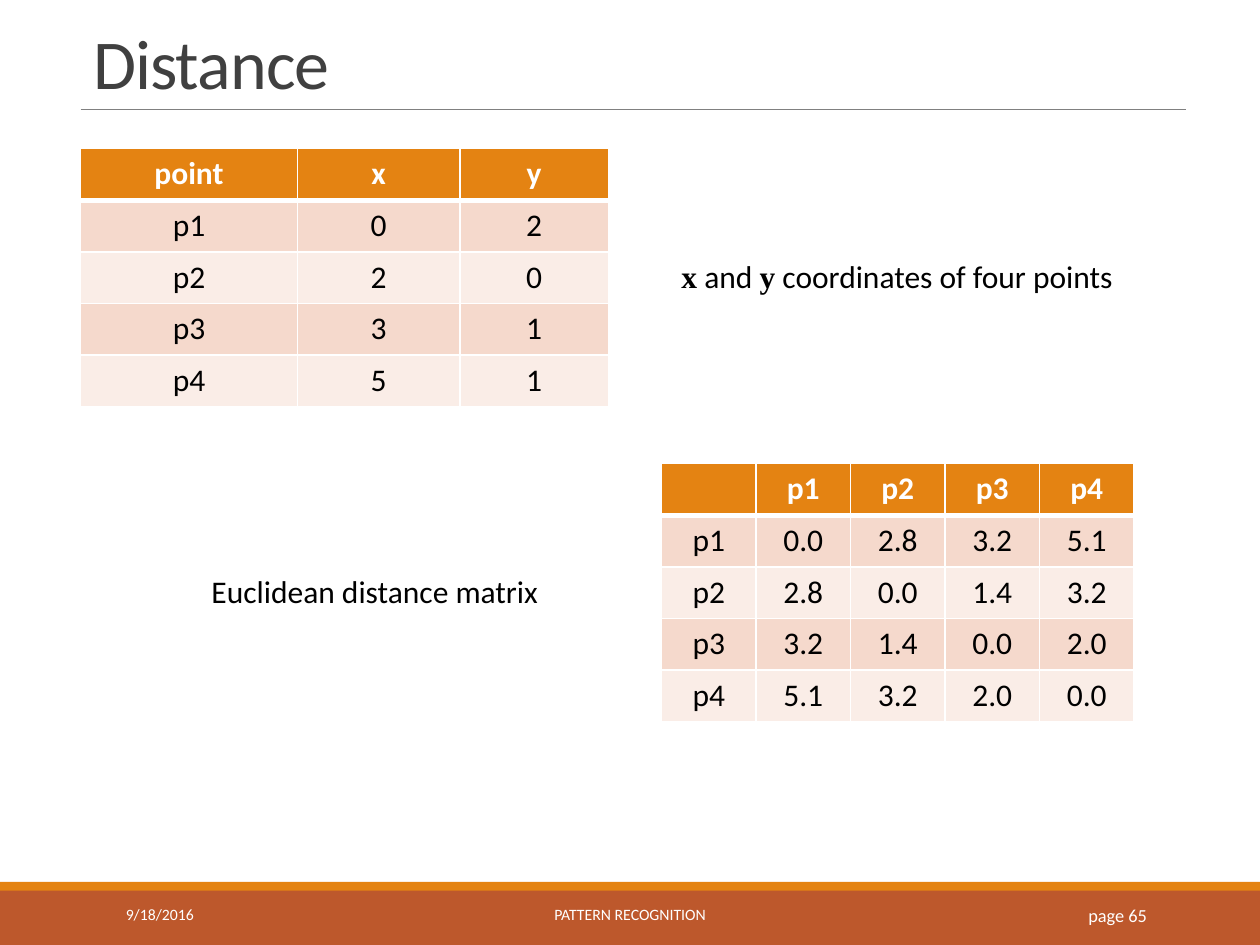
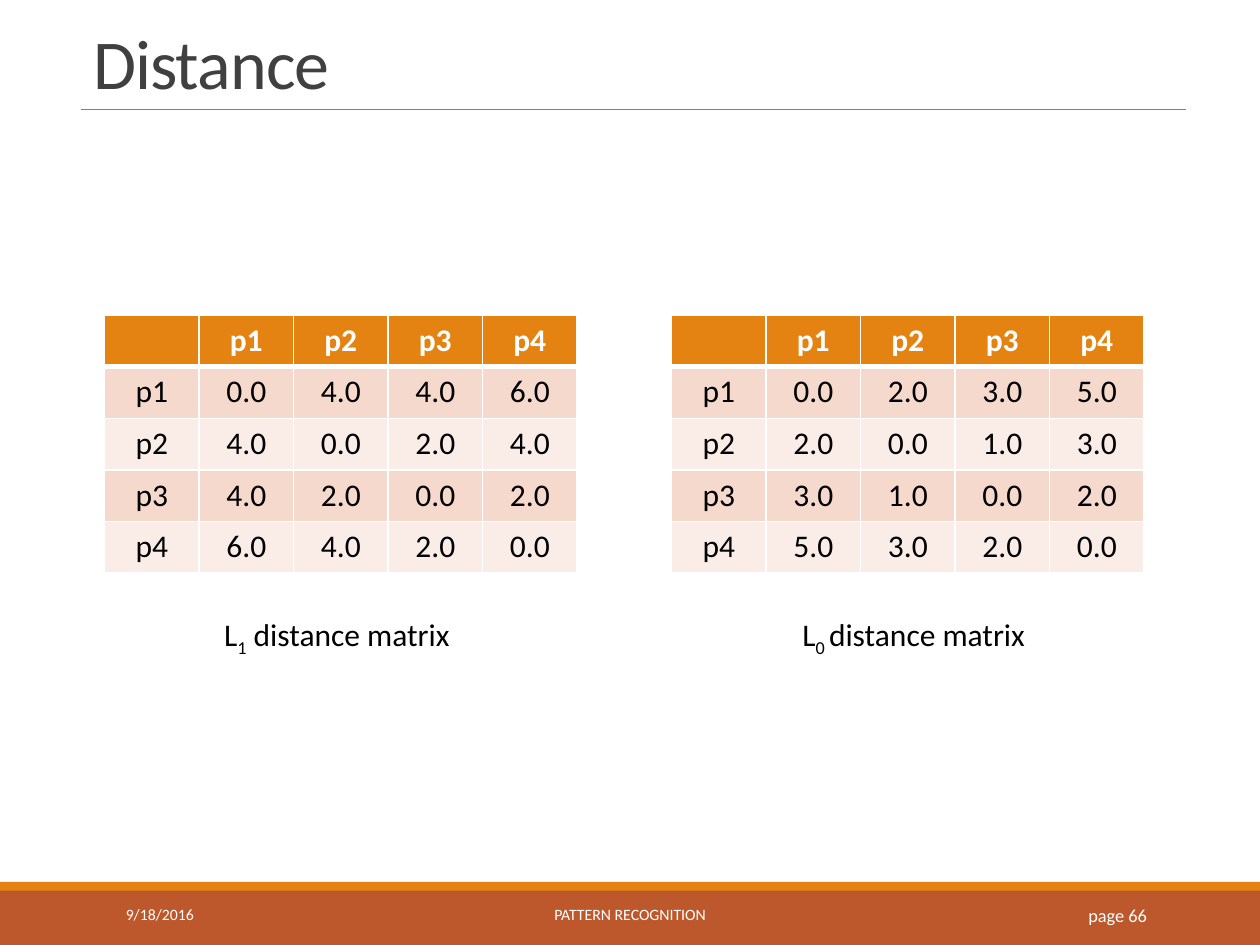
import pptx
import pptx.dml.color
import pptx.enum.shapes
import pptx.enum.text
import pptx.oxml
import pptx.oxml.ns
import pptx.util
from pptx.util import Inches

ALIGN = pptx.enum.text.PP_ALIGN
ANCHOR = pptx.enum.text.MSO_ANCHOR

ORANGE, RUST, WHITE, BLACK = "E48312", "BD582C", "FFFFFF", "000000"
RULE_GRAY, TITLE_GRAY = "808080", "404040"
ROW_TINTS = ["F5D9CC", "FAEDE7"]

TITLE = {"size": 40, "color": TITLE_GRAY, "spc": -50}
BODY = {"size": 18, "color": BLACK}
AXIS = {**BODY, "name": "Times New Roman", "bold": True}
SUBSCRIPT = {**BODY, "baseline": -25000}
HEADER = {"size": 18, "color": WHITE, "bold": True}
FOOTER = {"size": 9, "color": WHITE}
PAGE = {"size": 10.5, "color": WHITE}

BANDS = [((0, 7.06, 10, 0.44), RUST), ((0, 7, 10, 0.07), ORANGE)]
RULE = (0.64, 0.87, 9.41, 0.87)
TITLE_BOX = (0.64, 0.13, 8.77, 0.74)
ROW_HEIGHT = 0.41
MATRIX_COLUMNS = [0.75] * 5
NAMES = ["p1", "p2", "p3", "p4"]


def matrix(*distances):
    return [["", *NAMES]] + [[name, *row.split()] for name, row in zip(NAMES, distances)]


POINTS = [
    ["point", "x", "y"],
    ["p1", "0", "2"],
    ["p2", "2", "0"],
    ["p3", "3", "1"],
    ["p4", "5", "1"],
]
EUCLIDEAN = matrix("0.0 2.8 3.2 5.1", "2.8 0.0 1.4 3.2", "3.2 1.4 0.0 2.0", "5.1 3.2 2.0 0.0")
L1 = matrix("0.0 4.0 4.0 6.0", "4.0 0.0 2.0 4.0", "4.0 2.0 0.0 2.0", "6.0 4.0 2.0 0.0")
L0 = matrix("0.0 2.0 3.0 5.0", "2.0 0.0 1.0 3.0", "3.0 1.0 0.0 2.0", "5.0 3.0 2.0 0.0")

SLIDES = [
    {
        "title": "Distance",
        "page": "page 65",
        "tables": [
            (0.64, 1.18, [1.72, 1.29, 1.18], POINTS, 0.27),
            (5.25, 3.68, MATRIX_COLUMNS, EUCLIDEAN, 0.1),
        ],
        "captions": [
            ((5.31, 1.99, 3.64, 0.4), [("x", AXIS), (" and ", BODY), ("y", AXIS),
                                       (" coordinates of four points", BODY)]),
            ((1.58, 4.49, 2.82, 0.4), [("Euclidean distance matrix", BODY)]),
        ],
    },
    {
        "title": "Distance",
        "page": "page 66",
        "tables": [
            (0.83, 2.5, MATRIX_COLUMNS, L1, 0.1),
            (5.33, 2.5, MATRIX_COLUMNS, L0, 0.1),
        ],
        "captions": [
            ((1.68, 4.83, 2.07, 0.4), [("L", BODY), ("1", SUBSCRIPT), (" distance matrix", BODY)]),
            ((6.27, 4.83, 2.07, 0.4), [("L", BODY), ("0 ", SUBSCRIPT), ("distance matrix", BODY)]),
        ],
    },
]


def rgb(value):
    return pptx.dml.color.RGBColor.from_string(value)


def paint(target, color):
    target.fill.solid()
    target.fill.fore_color.rgb = rgb(color)


def write(paragraph, runs, align=ALIGN.LEFT):
    paragraph.alignment = align
    for words, style in runs:
        run = paragraph.add_run()
        run.text = words
        for key, value in {"name": "Calibri", "bold": False, **style}.items():
            if key == "color":
                run.font.color.rgb = rgb(value)
            elif key in ("spc", "baseline"):
                run.font._element.set(key, str(value))
            else:
                setattr(run.font, key, pptx.util.Pt(value) if key == "size" else value)


def add_text(slide, box, runs, align=ALIGN.LEFT, anchor=ANCHOR.TOP, wrap=True):
    frame = slide.shapes.add_textbox(*map(Inches, box)).text_frame
    frame.word_wrap = wrap
    frame.vertical_anchor = anchor
    if not wrap:
        frame.auto_size = pptx.enum.text.MSO_AUTO_SIZE.SHAPE_TO_FIT_TEXT
    write(frame.paragraphs[0], runs, align)
    return frame


def add_borders(cell, widths):
    properties = cell._tc.get_or_add_tcPr()
    for position, (side, points) in enumerate(widths.items()):
        border = pptx.oxml.parse_xml(
            f'<a:ln{side} {pptx.oxml.ns.nsdecls("a")} w="{pptx.util.Pt(points)}">'
            f'<a:solidFill><a:srgbClr val="{WHITE}"/></a:solidFill></a:ln{side}>')
        properties.insert(position, border)


def add_grid(slide, left, top, columns, rows, side_margin):
    size = (left, top, sum(columns), ROW_HEIGHT * len(rows))
    table = slide.shapes.add_table(len(rows), len(columns), *map(Inches, size)).table
    table.horz_banding = False
    for column, width in zip(table.columns, columns):
        column.width = Inches(width)
    for r, row in enumerate(rows):
        table.rows[r].height = Inches(ROW_HEIGHT)
        for c, words in enumerate(row):
            cell = table.cell(r, c)
            cell.margin_left = cell.margin_right = Inches(side_margin)
            paint(cell, ROW_TINTS[(r - 1) % 2] if r else ORANGE)
            add_borders(cell, {"L": 1, "R": 1, "T": 3 if r == 1 else 1, "B": 1 if r else 3})
            if words:
                write(cell.text_frame.paragraphs[0], [(words, BODY if r else HEADER)], ALIGN.CENTER)


def add_frame(slide, title, page):
    rule = slide.shapes.add_connector(pptx.enum.shapes.MSO_CONNECTOR.STRAIGHT, *map(Inches, RULE))
    rule.line.color.rgb = rgb(RULE_GRAY)
    rule.line.width = pptx.util.Pt(0.5)
    rule._element.spPr.append(
        pptx.oxml.parse_xml(f'<a:effectLst {pptx.oxml.ns.nsdecls("a")}/>'))
    for box, color in BANDS:
        band = slide.shapes.add_shape(pptx.enum.shapes.MSO_SHAPE.RECTANGLE, *map(Inches, box))
        band.shadow.inherit = False
        band.line.fill.background()
        paint(band, color)
    heading = add_text(slide, TITLE_BOX, [(title, TITLE)], anchor=ANCHOR.BOTTOM)
    heading.paragraphs[0].line_spacing = 0.85
    footers = [
        (0.9, 2.03, "9/18/2016", FOOTER, ALIGN.LEFT),
        (3.02, 3.96, "PATTERN RECOGNITION", FOOTER, ALIGN.CENTER),
        (8.12, 1.08, page, PAGE, ALIGN.RIGHT),
    ]
    for left, width, words, style, align in footers:
        add_text(slide, (left, 7.06, width, 0.4), [(words, style)], align, ANCHOR.MIDDLE)


def main():
    deck = pptx.Presentation()
    deck.slide_width, deck.slide_height = Inches(10), Inches(7.5)
    for content in SLIDES:
        slide = deck.slides.add_slide(deck.slide_layouts[6])
        add_frame(slide, content["title"], content["page"])
        for grid in content["tables"]:
            add_grid(slide, *grid)
        for box, runs in content["captions"]:
            add_text(slide, box, runs, wrap=False)
    deck.save("out.pptx")


if __name__ == "__main__":
    main()
